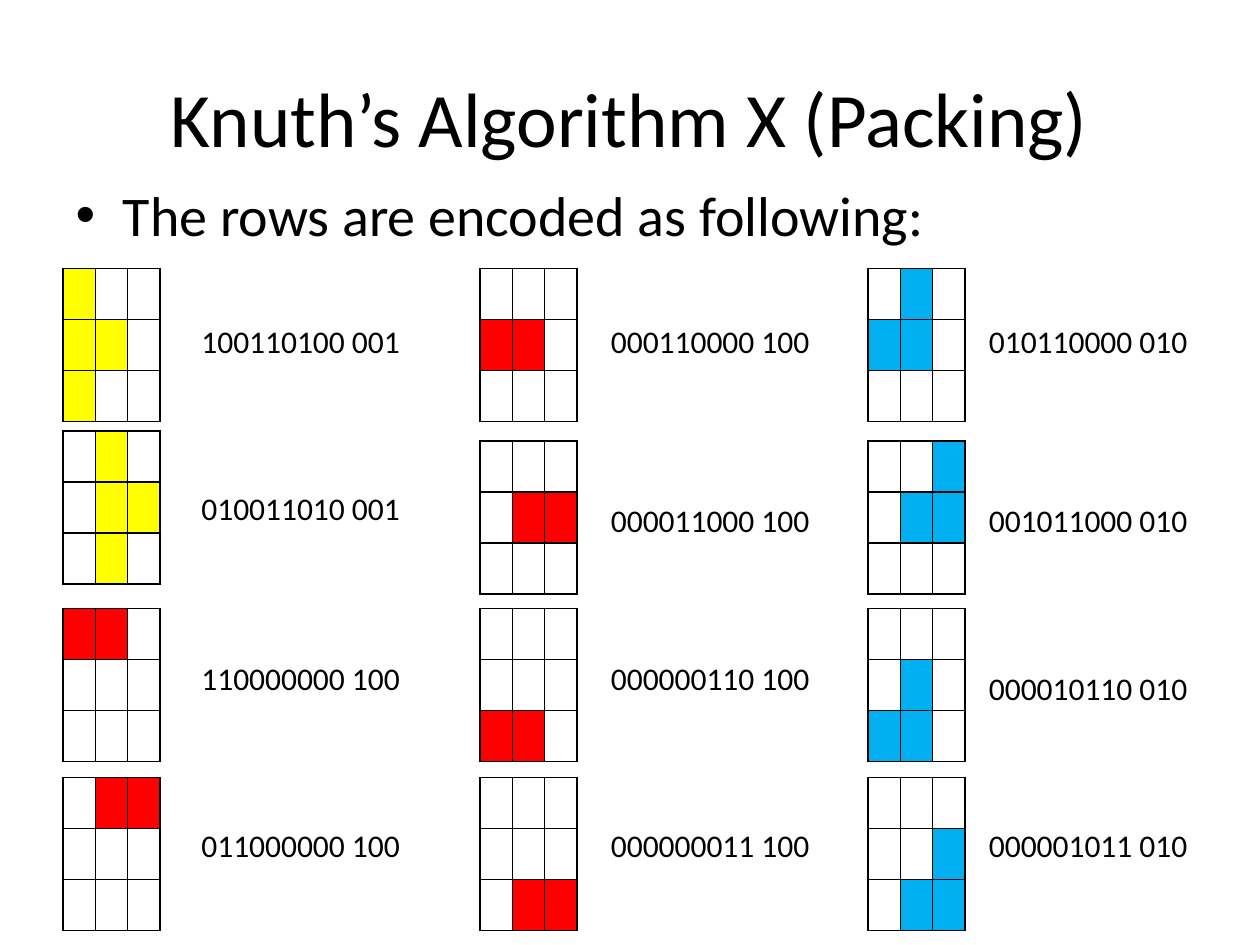
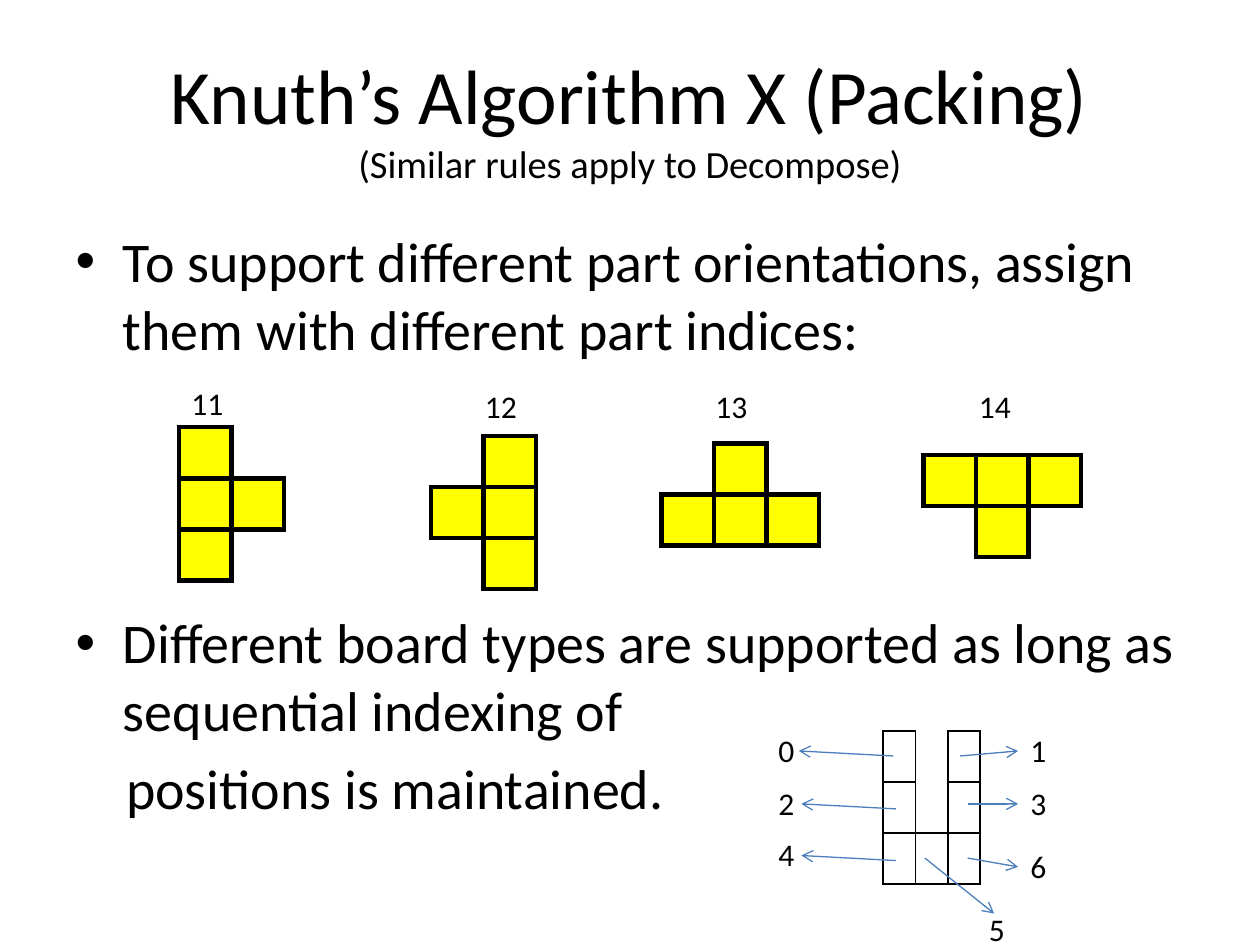
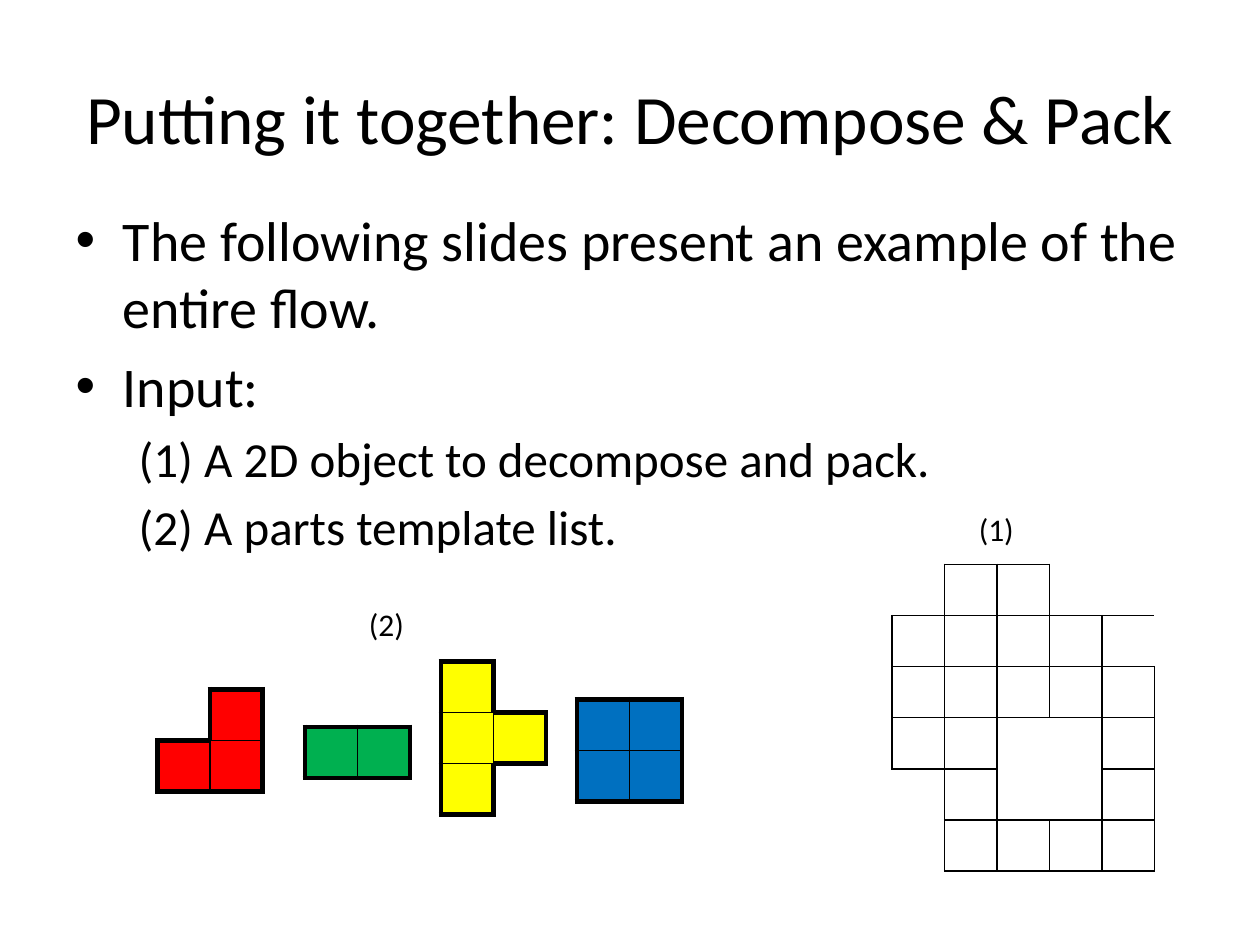
from dataclasses import dataclass
from typing import NamedTuple

import pptx
import pptx.dml.color
import pptx.enum.shapes
import pptx.enum.text
import pptx.oxml.ns
import pptx.util
from lxml import etree
from pptx.util import Inches

FONT = "Calibri"
BLACK = "000000"
ARROW_BLUE = "4B7EBC"
NO_TABLE_STYLE = "{2D5ABB26-0587-4C30-8999-92F81FD0307C}"

# Letters used in grid patterns; "-" is a gap and "." an unfilled cell.
GAP = "-"
CELL_FILLS = {
    "Y": "FFFF00",
    "R": "FF0000",
    "C": "00B0F0",
    "G": "00B050",
    "B": "0070C0",
}
SIDES = {"lnL": (0, -1), "lnR": (0, 1), "lnT": (-1, 0), "lnB": (1, 0)}

ROW_HEIGHT = 0.81 / 2
BOARD_COLUMN = 0.77 / 3
PART_COLUMN = 1.25 / 3


@dataclass
class Grid:
    left: float
    top: float
    pattern: str
    column_width: float = PART_COLUMN
    outer: float = 1
    inner: float = 1
    last_width: float | None = None
    merges: tuple[tuple[int, int, int, int], ...] = ()


@dataclass
class Label:
    text: str
    left: float
    top: float
    width: float = 1.08


@dataclass
class BodyLine:
    """A body paragraph; a margin makes it unbulleted and indented."""
    text: str
    level: int = 0
    size: float = 32
    margin: float | None = None
    before: float | None = None


class Span(NamedTuple):
    text: str
    size: float


class Arrow(NamedTuple):
    start: tuple[float, float]
    end: tuple[float, float]


class Packing(NamedTuple):
    code: str
    board_top: float
    label_top: float


class PackingColumn(NamedTuple):
    board_left: float
    label_left: float
    packings: list[Packing]


def rgb(colour: str) -> pptx.dml.color.RGBColor:
    return pptx.dml.color.RGBColor.from_string(colour)


def add_child(parent, tag: str, **attributes: str):
    return etree.SubElement(parent, pptx.oxml.ns.qn(f"a:{tag}"), attributes)


def format_font(font, size: float) -> None:
    for name, value in {"name": FONT, "size": pptx.util.Pt(size)}.items():
        setattr(font, name, value)
    font.color.rgb = rgb(BLACK)


def place(shape, left: float, top: float, width: float, height: float) -> None:
    frame = {"left": left, "top": top, "width": width, "height": height}
    for name, value in frame.items():
        setattr(shape, name, Inches(value))


def add_page(deck, title: list[Span], body_top: float, body_height: float,
             lines: list[BodyLine]):
    page = deck.slides.add_slide(deck.slide_layouts[1])
    heading, body = page.placeholders
    place(heading, 0.5, 0.3, 9, 1.25)
    place(body, 0.5, body_top, 9, body_height)
    for box in (heading, body):
        box.text_frame.auto_size = pptx.enum.text.MSO_AUTO_SIZE.NONE

    para = heading.text_frame.paragraphs[0]
    for number, span in enumerate(title):
        if number:
            para.add_line_break()
        run = para.add_run()
        run.text = span.text
        format_font(run.font, span.size)

    for number, line in enumerate(lines):
        frame = body.text_frame
        para = frame.add_paragraph() if number else frame.paragraphs[0]
        para.level = line.level
        run = para.add_run()
        run.text = line.text
        format_font(run.font, line.size)
        if line.before is not None:
            para.space_before = pptx.util.Pt(line.before)
        if line.margin is not None:
            properties = para._p.get_or_add_pPr()
            properties.set("marL", str(Inches(line.margin)))
            properties.set("indent", "0")
            add_child(properties, "buNone")
    return page


def add_border(cell, side: str, width: float) -> None:
    """Set one cell border; a width of 0 hides it."""
    border = add_child(cell._tc.get_or_add_tcPr(), side,
                       w=str(pptx.util.Pt(width)))
    if width:
        add_child(add_child(border, "solidFill"), "srgbClr", val=BLACK)
    else:
        add_child(border, "noFill")


def add_grid(page, grid: Grid) -> None:
    """Draw a table whose borders follow the outline of its pattern."""
    rows = grid.pattern.split("/")
    widths = [grid.column_width] * len(rows[0])
    if grid.last_width is not None:
        widths[-1] = grid.last_width
    table = page.shapes.add_table(
        len(rows), len(widths), Inches(grid.left), Inches(grid.top),
        Inches(sum(widths)), Inches(ROW_HEIGHT * len(rows))).table
    table.first_row = table.horz_banding = False
    table._tbl.tblPr.find(pptx.oxml.ns.qn("a:tableStyleId")).text = NO_TABLE_STYLE
    for column, width in zip(table.columns, widths):
        column.width = Inches(width)
    for row in table.rows:
        row.height = Inches(ROW_HEIGHT)

    marks = {(r, c): mark for r, row in enumerate(rows)
             for c, mark in enumerate(row)}
    occupied = {spot for spot, mark in marks.items() if mark != GAP}
    border_widths = (0, grid.outer, grid.inner)
    for (r, c), mark in marks.items():
        cell = table.cell(r, c)
        for side, (down, across) in SIDES.items():
            count = len({(r, c), (r + down, c + across)} & occupied)
            add_border(cell, side, border_widths[count])
        if mark in CELL_FILLS:
            cell.fill.solid()
            cell.fill.fore_color.rgb = rgb(CELL_FILLS[mark])
        else:
            cell.fill.background()
    for top, left, bottom, right in grid.merges:
        table.cell(top, left).merge(table.cell(bottom, right))


def add_label(page, label: Label) -> None:
    box = page.shapes.add_textbox(Inches(label.left), Inches(label.top),
                                  Inches(label.width), Inches(0.4))
    frame = box.text_frame
    frame.word_wrap = True
    frame.auto_size = pptx.enum.text.MSO_AUTO_SIZE.SHAPE_TO_FIT_TEXT
    run = frame.paragraphs[0].add_run()
    run.text = label.text
    format_font(run.font, 18)


def add_arrow(page, arrow: Arrow) -> None:
    points = [Inches(value) for value in arrow.start + arrow.end]
    connector = page.shapes.add_connector(
        pptx.enum.shapes.MSO_CONNECTOR.STRAIGHT, *points)
    connector.line.color.rgb = rgb(ARROW_BLUE)
    connector.line.width = pptx.util.Pt(0.75)
    add_child(connector.line._get_or_add_ln(), "tailEnd", type="arrow")
    add_child(connector._element.spPr, "effectLst")


def board_pattern(code: str) -> str:
    """Turn nine position bits and three part bits into a 3 by 3 pattern."""
    positions, part = code.split()
    letter = {"001": "Y", "100": "R", "010": "C"}[part]
    marks = positions.replace("1", letter).replace("0", ".")
    return "/".join(marks[i:i + 3] for i in range(0, 9, 3))


PACKING_TITLE = Span("Knuth’s Algorithm X (Packing)", 44)

PACKING_COLUMNS = [
    PackingColumn(0.5, 1.5, [
        Packing("100110100 001", 2.13, 2.51),
        Packing("010011010 001", 3.42, 3.83),
        Packing("110000000 100", 4.83, 5.18),
        Packing("011000000 100", 6.17, 6.51),
    ]),
    PackingColumn(3.81, 4.75, [
        Packing("000110000 100", 2.13, 2.51),
        Packing("000011000 100", 3.5, 3.93),
        Packing("000000110 100", 4.83, 5.18),
        Packing("000000011 100", 6.17, 6.51),
    ]),
    PackingColumn(6.89, 7.75, [
        Packing("010110000 010", 2.13, 2.51),
        Packing("001011000 010", 3.5, 3.93),
        Packing("000010110 010", 4.83, 5.26),
        Packing("000001011 010", 6.17, 6.51),
    ]),
]

ORIENTATIONS = [
    (Grid(1.42, 3.39, "Y-/YY/Y-", outer=3, inner=3), Label("11", 1.42, 3)),
    (Grid(3.42, 3.46, "-Y/YY/-Y", outer=3, inner=3), Label("12", 3.75, 3.02)),
    (Grid(5.25, 3.52, "-Y-/YYY", outer=3, inner=3), Label("13", 5.58, 3.02)),
    (Grid(7.33, 3.61, "YYY/-Y-", outer=3, inner=3), Label("14", 7.67, 3.02)),
]

POSITION_INDICES = [
    (Label("0", 6.08, 5.75), Arrow((7.09, 6), (6.34, 5.96))),
    (Label("2", 6.08, 6.17), Arrow((7.11, 6.42), (6.36, 6.38))),
    (Label("4", 6.08, 6.58), Arrow((7.11, 6.83), (6.36, 6.79))),
    (Label("1", 8.08, 5.75), Arrow((7.62, 6), (8.08, 5.96))),
    (Label("3", 8.08, 6.17), Arrow((7.68, 6.38), (8.08, 6.38))),
    (Label("6", 8.08, 6.67), Arrow((7.68, 6.81), (8.08, 6.88))),
    (Label("5", 7.75, 7.17), Arrow((7.34, 6.81), (7.89, 7.25))),
]

INPUT_GRIDS = [
    Grid(2.42, 5.77, "GG-", outer=3, last_width=0.83),
    Grid(1.25, 5.47, "-R/RR", outer=3),
    Grid(4.58, 5.55, "BB/BB", outer=3),
    Grid(7.08, 4.48, "-..--/....-/...../..--./-.--./-....",
         merges=((0, 3, 0, 4), (3, 2, 4, 2), (3, 3, 4, 3), (4, 0, 5, 0))),
    Grid(3.5, 5.25, "Y-/YY/Y-", outer=3),
]


def add_encoding_page(deck) -> None:
    page = add_page(deck, [PACKING_TITLE], 1.38, 5.53,
                    [BodyLine("The rows are encoded as following:")])
    for column in PACKING_COLUMNS:
        for packing in column.packings:
            add_grid(page, Grid(column.board_left, packing.board_top,
                                board_pattern(packing.code), BOARD_COLUMN))
            add_label(page, Label(packing.code, column.label_left,
                                  packing.label_top, 1.92))


def add_orientation_page(deck) -> None:
    page = add_page(
        deck, [PACKING_TITLE, Span("(Similar rules apply to Decompose)", 22)],
        1.75, 5.53, [
            BodyLine("To support different part orientations, assign them "
                     "with different part indices:"),
            BodyLine("Different board types are supported as long as "
                     "sequential indexing of", before=141),
            BodyLine("positions is maintained.", margin=0.4),
        ])
    for part, label in ORIENTATIONS:
        add_grid(page, part)
        add_label(page, label)
    add_grid(page, Grid(7.01, 5.8, ".-./.-./...", BOARD_COLUMN))
    for label, arrow in POSITION_INDICES:
        add_arrow(page, arrow)
        add_label(page, label)


def add_input_page(deck) -> None:
    page = add_page(
        deck, [Span("Putting it together: Decompose & Pack", 39.6)],
        1.58, 4.95, [
            BodyLine("The following slides present an example of the entire flow."),
            BodyLine("Input:"),
            BodyLine("(1) A 2D object to decompose and pack.", 1, 28, 0.5),
            BodyLine("(2) A parts template list.", 1, 28, 0.5),
        ])
    for grid in INPUT_GRIDS:
        add_grid(page, grid)
    add_label(page, Label("(1)", 7.67, 4, 0.67))
    add_label(page, Label("(2)", 2.83, 4.75, 0.67))


def main() -> None:
    deck = pptx.Presentation()
    deck.slide_width, deck.slide_height = Inches(10), Inches(7.5)
    add_encoding_page(deck)
    add_orientation_page(deck)
    add_input_page(deck)
    deck.save("out.pptx")


if __name__ == "__main__":
    main()
